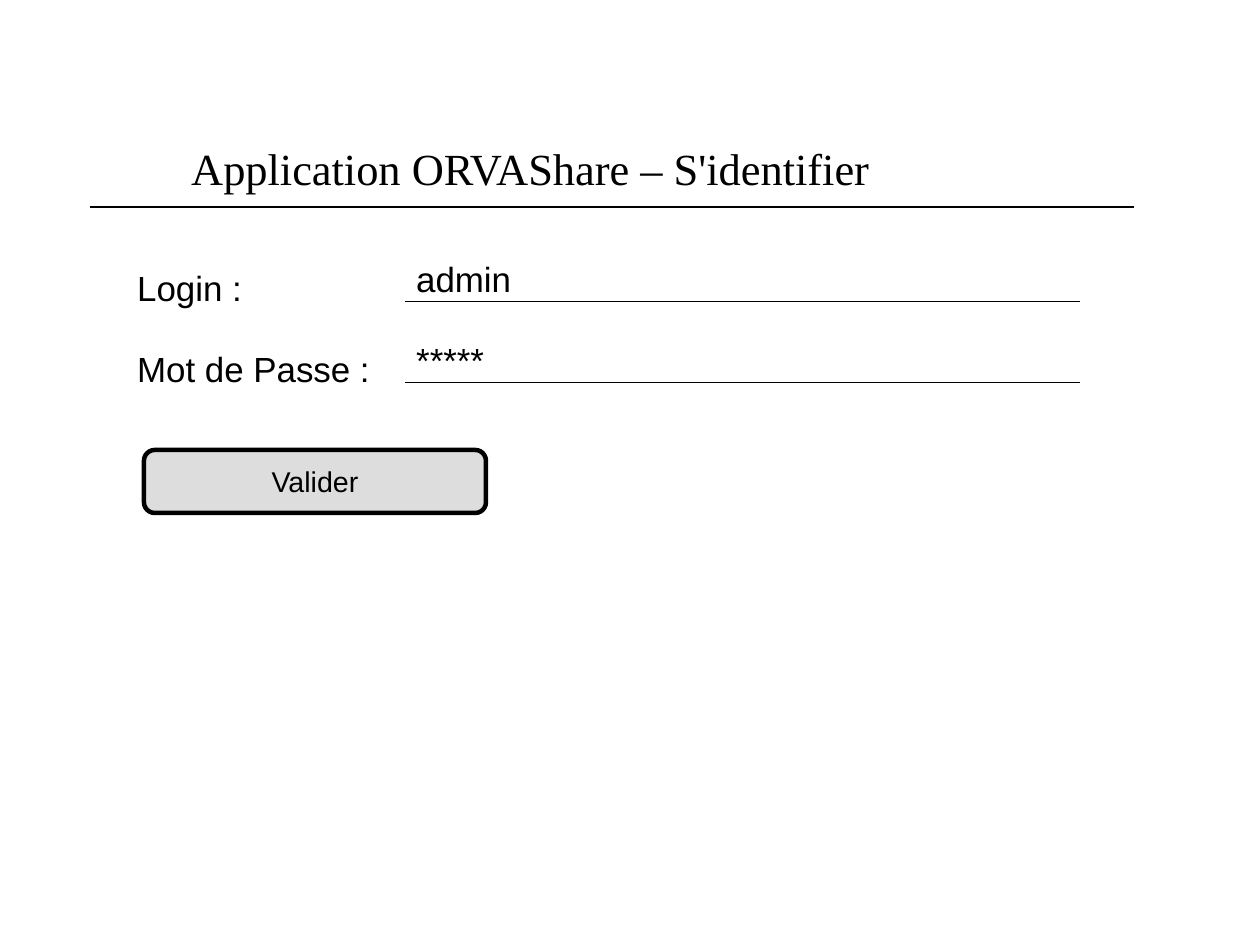
from typing import NamedTuple

from lxml.etree import SubElement
from pptx import Presentation
from pptx.dml.color import RGBColor
from pptx.enum.shapes import MSO_CONNECTOR, MSO_SHAPE
from pptx.enum.text import MSO_ANCHOR, PP_ALIGN
from pptx.oxml.ns import qn
from pptx.shapes.autoshape import Shape
from pptx.slide import Slide
from pptx.util import Cm, Pt

BLACK = RGBColor(0x00, 0x00, 0x00)
GREY = RGBColor(0xDD, 0xDD, 0xDD)


class Field(NamedTuple):
    label: str
    value: str
    width: float


FIELDS = [
    Field("Login :", "admin", 4.4),
    Field("Mot de Passe :", "*****", 5.8),
]
FIRST = 6.7  # height of the first field's rule, in cm
PITCH = 1.8


def write(shape: Shape, text: str, *, size: float = 22, font: str = "Arial",
          align: PP_ALIGN = PP_ALIGN.LEFT, anchor: MSO_ANCHOR = MSO_ANCHOR.TOP,
          wrap: bool = True) -> None:
    frame = shape.text_frame
    frame.word_wrap = wrap
    frame.vertical_anchor = anchor
    para = frame.paragraphs[0]
    para.alignment = align
    run = para.add_run()
    run.text = text
    run.font.size = Pt(size)
    run.font.name = font
    run.font.color.rgb = BLACK


def add_box(slide: Slide, left: float, top: float, width: float, height: float) -> Shape:
    return slide.shapes.add_textbox(Cm(left), Cm(top), Cm(width), Cm(height))


def add_rule(slide: Slide, left: float, right: float, top: float) -> None:
    rule = slide.shapes.add_connector(
        MSO_CONNECTOR.STRAIGHT, Cm(left), Cm(top), Cm(right), Cm(top))
    rule.line.color.rgb = BLACK
    rule.line.width = Pt(0.75)
    SubElement(rule.element.spPr, qn("a:effectLst"))


def add_field(slide: Slide, field: Field, base: float) -> None:
    write(add_box(slide, 2.8, base - 0.91, field.width, 1.12), field.label)
    write(add_box(slide, 9, base - 1.11, 11.2, 1.12), field.value)
    add_rule(slide, 9, 24, base)


def add_button(slide: Slide, text: str) -> None:
    button = slide.shapes.add_shape(
        MSO_SHAPE.ROUNDED_RECTANGLE, Cm(3.2), Cm(10), Cm(7.6), Cm(1.4))
    button.adjustments[0] = 0.17
    button.shadow.inherit = False
    button.fill.solid()
    button.fill.fore_color.rgb = GREY
    button.line.color.rgb = BLACK
    button.line.width = Pt(2.83)
    write(button, text, size=18, align=PP_ALIGN.CENTER,
          anchor=MSO_ANCHOR.MIDDLE, wrap=False)


def main() -> None:
    deck = Presentation()
    deck.slide_width, deck.slide_height = Cm(28), Cm(21)
    slide = deck.slides.add_slide(deck.slide_layouts[6])

    # Heading
    add_rule(slide, 2, 25.2, 4.6)
    write(add_box(slide, 4, 3, 21, 1.35), "Application ORVAShare – S'identifier",
          size=28, font="Times New Roman")

    # Login form
    for row, field in enumerate(FIELDS):
        add_field(slide, field, FIRST + row * PITCH)
    add_button(slide, "Valider")

    deck.save("out.pptx")


if __name__ == "__main__":
    main()
